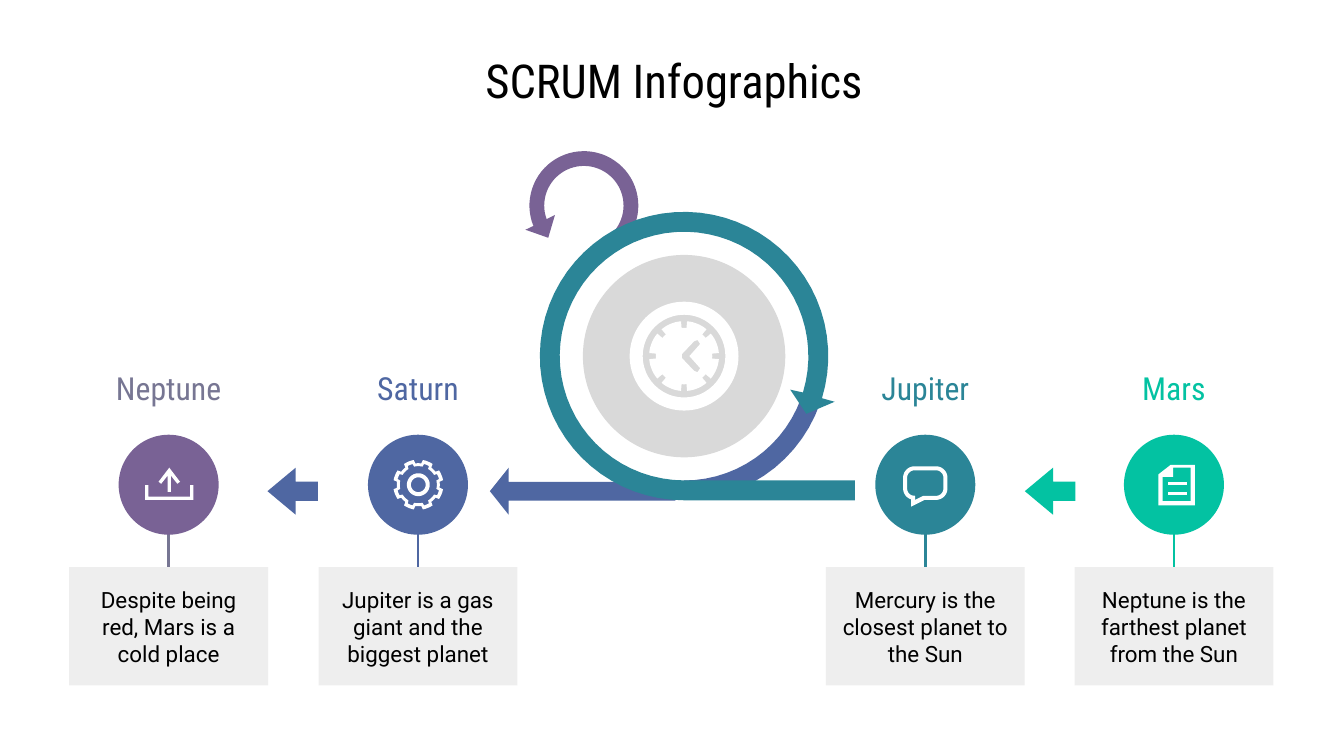
from math import cos, sin, radians
from pptx import Presentation
from pptx.dml.color import RGBColor as Rgb
from pptx.enum.shapes import MSO_CONNECTOR as Link, MSO_SHAPE as Kind
from pptx.enum.text import MSO_ANCHOR as Anchor, MSO_AUTO_SIZE as Fit, PP_ALIGN as Align
from pptx.oxml.ns import qn
from pptx.util import Inches, Pt
from lxml.etree import SubElement


class Theme:
    ink, white, grey, pale = "000000", "FFFFFF", "D9D9D9", "EEEEEE"
    plum, slate, blue, teal, mint = "796295", "777693", "4F67A2", "2B8597", "03C2A2"
    head, body = "Roboto Condensed", "Roboto"
    big, mid, small, rule = Pt(25), Pt(17), Pt(12), Pt(1.5)


deck = Presentation()
deck.slide_width = Inches(10)
deck.slide_height = deck.slide_width * 9 // 16
cell = deck.slide_width // 100
slide = deck.slides.add_slide(deck.slide_layouts[5])
shapes = slide.shapes


def paint(shape, tint):
    shape.shadow.inherit = False
    shape.line.fill.background()
    if tint:
        shape.fill.solid()
        shape.fill.fore_color.rgb = Rgb.from_string(tint)
    else:
        shape.fill.background()


def arc(x, y, r, start, end):
    steps = max(2, int(abs(end - start) / 5))
    turns = [radians(start + (end - start) * i / steps) for i in range(steps + 1)]
    return [(x + r * cos(t), y + r * sin(t)) for t in turns]


title = shapes.title
texts = [(title, "SCRUM Infographics", Theme.head, Theme.big, Theme.ink)]
title.left, title.top, title.width, title.height = [
    int(n * cell) for n in (5.3, 3.3, 89.7, 5.3)]

hub = (50.9, 26.5)
disc = 36.07
cards = [
    (12.55, "Neptune", "Despite being red, Mars is a cold place", Theme.plum, Theme.slate),
    (31.1, "Saturn", "Jupiter is a gas giant and the biggest planet", Theme.blue, Theme.blue),
    (68.85, "Jupiter", "Mercury is the closest planet to the Sun", Theme.teal, Theme.teal),
    (87.35, "Mars", "Neptune is the farthest planet from the Sun", Theme.mint, Theme.mint),
]

for mid, name, fact, tint, tone in cards:
    stem = shapes.add_connector(Link.STRAIGHT, *[
        int(n * cell) for n in (mid, disc, mid, 42.2)])
    stem.line.color.rgb = Rgb.from_string(tone)
    stem.line.width = Theme.rule
    SubElement(stem._element.spPr, qn("a:effectLst"))
    for top, wide, high, note, fill, font, size, ink in [
        (42.2, 14.8, 8.8, fact, Theme.pale, Theme.body, Theme.small, Theme.ink),
        (26.5, 15.5, 4.7, name, None, Theme.head, Theme.mid, tone),
    ]:
        box = shapes.add_shape(Kind.RECTANGLE, *[
            int(n * cell) for n in (mid - wide / 2, top, wide, high)])
        paint(box, fill)
        texts.append((box, note, font, size, ink))

for box, note, font, size, ink in texts:
    frame = box.text_frame
    frame.text = note
    frame.word_wrap = True
    frame.auto_size = Fit.NONE
    frame.vertical_anchor = Anchor.MIDDLE
    frame.margin_left = frame.margin_right = cell
    frame.margin_top = frame.margin_bottom = cell
    line = frame.paragraphs[0]
    line.alignment = Align.CENTER
    face = line.runs[0].font
    face.name, face.size = font, size
    face.color.rgb = Rgb.from_string(ink)

rounds = [(Kind.OVAL, mid, disc, 3.72, tint) for mid, _, _, tint, _ in cards]
rounds += [(Kind.OVAL, *hub, 7.53, Theme.grey), (Kind.DONUT, *hub, 4.05, Theme.white)]
for kind, x, y, r, tint in rounds:
    ring = shapes.add_shape(kind, *[int(n * cell) for n in (x - r, y - r, 2 * r, 2 * r)])
    paint(ring, tint)
    if kind == Kind.DONUT:
        ring.adjustments[0] = 0.12

for left, wide, shaft, tip, tint in [
    (19.9, 3.75, 0.41, 0.6, Theme.blue),
    (36.45, 13.8, 0.4, 0.4, Theme.blue),
    (76.25, 3.75, 0.41, 0.6, Theme.mint),
]:
    arrow = shapes.add_shape(Kind.LEFT_ARROW, *[
        int(n * cell) for n in (left, 34.8, wide, 3.5)])
    arrow.adjustments[0], arrow.adjustments[1] = shaft, tip
    paint(arrow, tint)

loop = (43.45, 15.3)
swirl = (arc(*loop, 4.05, 66, -202) + [(39.1, 17.1), (40.8, 17.7), (41.3, 16)]
         + arc(*loop, 2.95, -200, 66))
tail = arc(*hub, 10.7, 19, 88) + arc(*hub, 9.25, 90, 20) + [(60, 30.5)]
orbit = (arc(*hub, 9.25, 17, -270) + [(63.6, 35.75), (63.6, 37.23)]
         + arc(*hub, 10.73, -270, 17)
         + [(62.1, 29.9), (60, 30.8), (58.8, 29), (59.7, 29.2)])

dial = [p for a in range(0, 360, 45)
        for p in arc(*hub, 2.6, a + 5, a + 40) + arc(*hub, 2.1, a + 40, a + 50)]
hands = [(51.9, 25.3), (52.1, 25.6), (51.3, 26.5), (52.1, 27.4), (51.9, 27.7),
         (51.65, 27.6), (50.75, 26.65), (50.75, 26.35), (51.65, 25.4)]

core = (31.13, disc)
gear = [arc(*core, r, 0, 360) for r in (0.55, 0.85)]
for out, dip, half in [(1.6, 1.38, 7), (1.87, 1.6, 12)]:
    gear.append([p for a in range(0, 360, 45)
                 for p in arc(*core, dip, a - 20 + half, a + 20 - half)
                 + arc(*core, out, a + 22.5 - half, a + 22.5 + half)])

bubble = []
for r, barb in [(0.55, [(68.7, 36.9), (68.1, 37.2), (68.1, 36.9)]),
                (0.85, [(68.8, 37.2), (67.8, 37.7), (67.8, 37.1)])]:
    bubble.append(arc(68.05, 35.55, r, 180, 270) + arc(69.65, 35.55, r, 270, 360)
                  + arc(69.65, 36.35, r, 0, 90) + barb + arc(68.05, 36.35, r, 110, 180))

page = [[(87.3, 34.8), (87.3, 35.5), (86.5, 35.5), (86.5, 37.3), (88.6, 37.3), (88.6, 34.8)],
        [(88.9, 34.6), (88.9, 37.6), (86.2, 37.6), (86.2, 35.3), (87.1, 34.6)]]
bars = [[(86.9, y), (88.3, y), (88.3, y + 0.25), (86.9, y + 0.25)] for y in (35.85, 36.6)]
tray = [(14.4, 36.1), (14.4, 37.2), (10.8, 37.2), (10.8, 36.1),
        (11.05, 36.1), (11.05, 36.95), (14.15, 36.95), (14.15, 36.1)]
rise = [(12.6, 34.8), (13.4, 35.85), (13.2, 36), (12.73, 35.4), (12.73, 36.6),
        (12.47, 36.6), (12.47, 35.4), (12, 36), (11.8, 35.85)]

for tint, paths in [
    (Theme.plum, [swirl]), (Theme.blue, [tail]), (Theme.teal, [orbit]),
    (Theme.white, [dial, hands]), (Theme.white, gear), (Theme.white, bubble),
    (Theme.white, page), (Theme.white, bars[:1]), (Theme.white, bars[1:]),
    (Theme.white, [tray]), (Theme.white, [rise]),
]:
    pen = None
    for path in paths:
        first, *rest = [(x * cell, y * cell) for x, y in path]
        if pen:
            pen.move_to(*first)
        else:
            pen = shapes.build_freeform(*first)
        pen.add_line_segments(rest, close=True)
    paint(pen.convert_to_shape(), tint)

deck.save("out.pptx")
